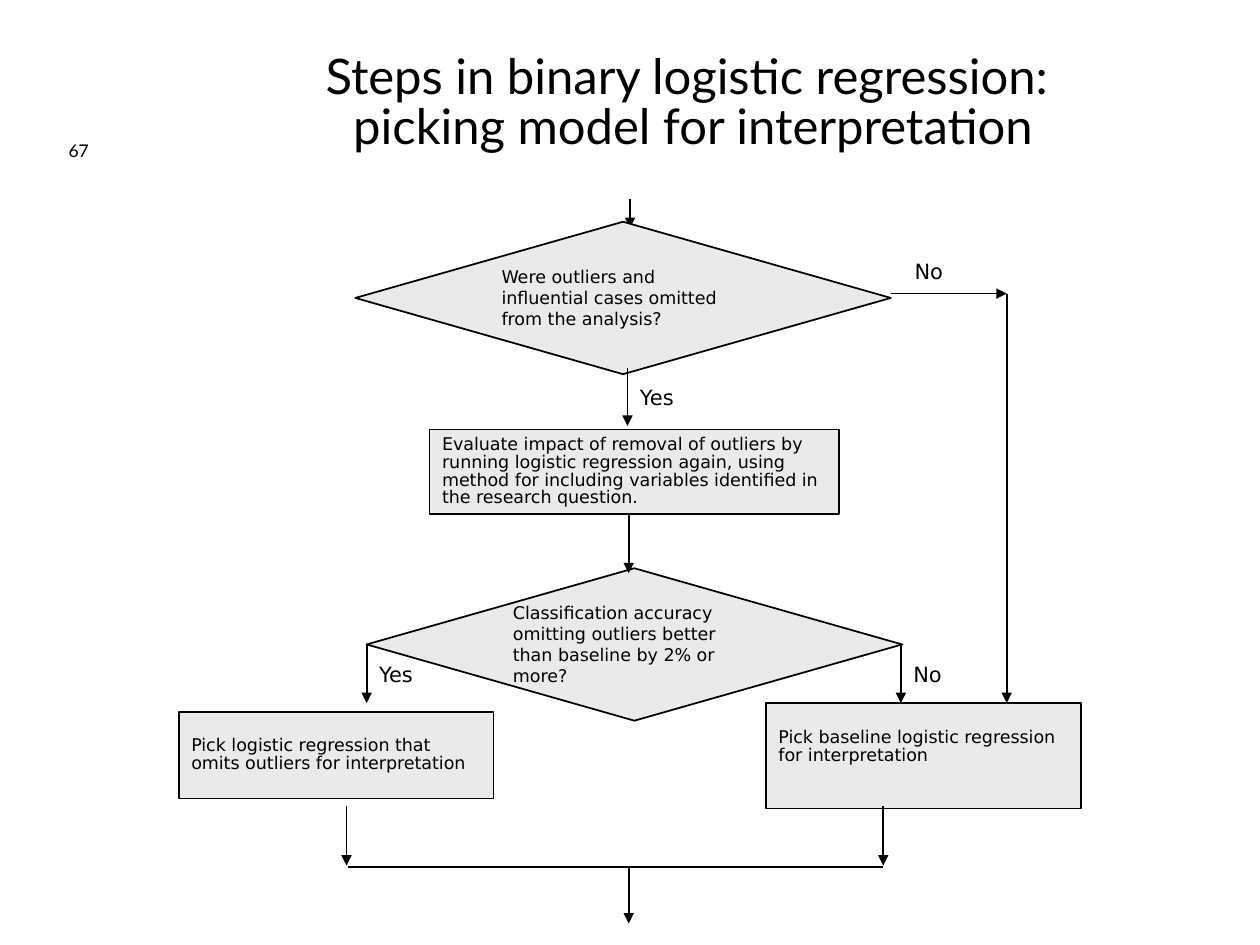
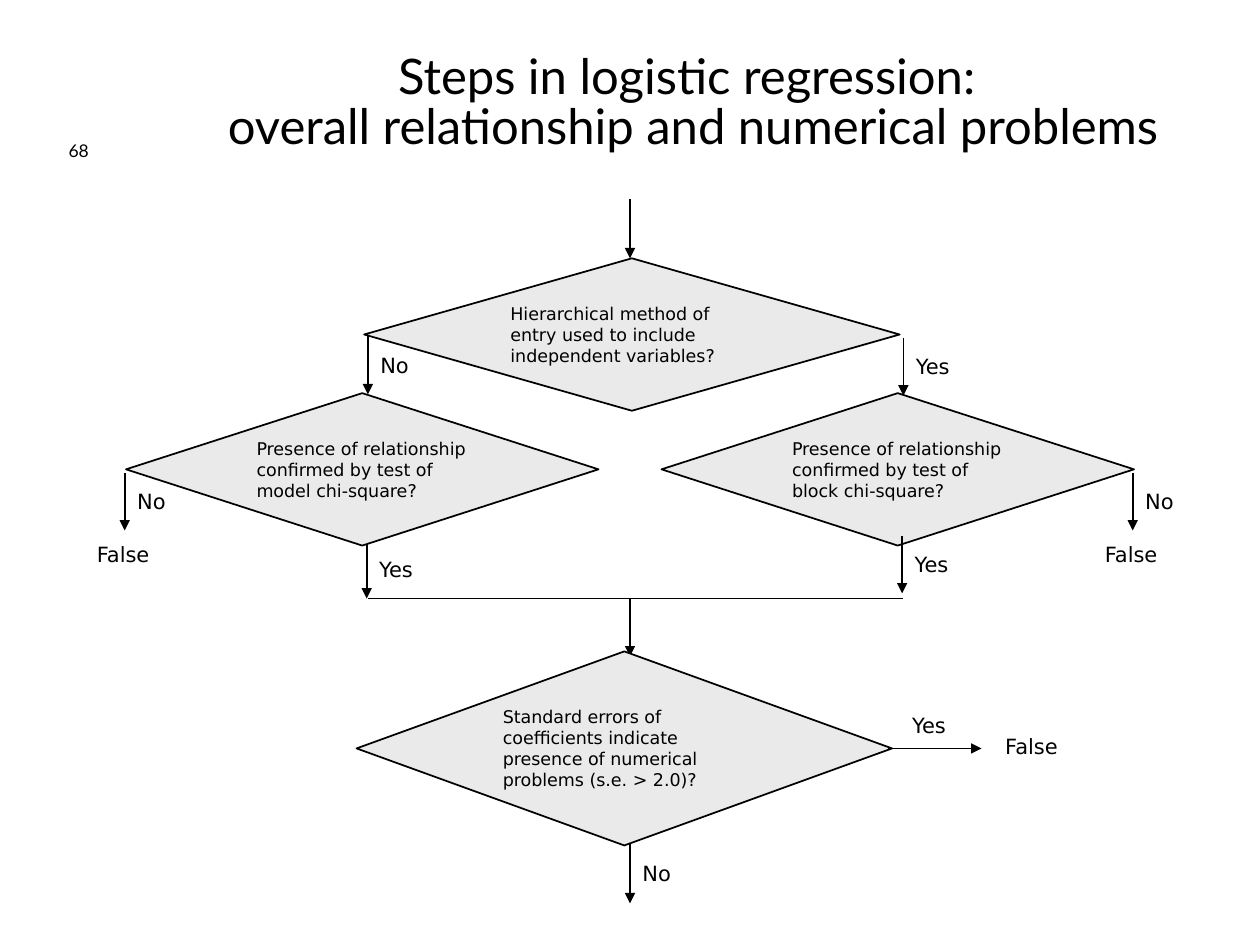
from collections import namedtuple
from lxml.etree import SubElement
from pptx import Presentation
from pptx.dml.color import RGBColor
from pptx.enum.shapes import MSO_CONNECTOR, MSO_SHAPE
from pptx.enum.text import MSO_ANCHOR, MSO_AUTO_SIZE, PP_ALIGN
from pptx.oxml.ns import qn
from pptx.util import Inches, Pt

Theme = namedtuple("Theme", "ink fill head body title step label page thick thin tight")
theme = Theme(
    ink=RGBColor.from_string("000000"), fill=RGBColor.from_string("EAEAEA"),
    head="Lato", body="DejaVu Sans",
    title=Pt(28), step=Pt(10), label=Pt(12), page=Pt(10),
    thick=Pt(1), thin=Pt(0.75), tight=0.85,
)

deck = Presentation()
deck.slide_width, deck.slide_height = Inches(10), Inches(7.5)
col = deck.slide_width / 100
row = deck.slide_height / 75


def write(shape, text, size, font, anchor, align=PP_ALIGN.LEFT, space=1):
    frame = shape.text_frame
    frame.text = text
    frame.word_wrap = True
    frame.auto_size = MSO_AUTO_SIZE.NONE
    frame.vertical_anchor = anchor
    frame.margin_left = frame.margin_right = round(col)
    frame.margin_top = frame.margin_bottom = round(row / 2)
    for para in frame.paragraphs:
        para.alignment = align
        para.line_spacing = space
        for run in para.runs:
            run.font.size = size
            run.font.name = font
            run.font.color.rgb = theme.ink


def place(x, y, w, h):
    return round(x * col), round(y * row), round(w * col), round(h * row)


# kind, left, top, width, height, text
picks = [
    ("test", 29.1, 45.1, 42.5, 12.1,
     "Classification accuracy omitting outliers better than baseline by 2% or more?"),
    ("arrow", 50, 15.8, 0, 2.3, ""),
    ("high", 60.8, 55.8, 25, 8.4,
     "Pick baseline logistic regression\nfor interpretation"),
    ("arrow", 79.9, 23.3, 0, 32.5, ""),
    ("test", 28.2, 17.6, 42.5, 12.1,
     "Were outliers and influential cases omitted from the analysis?"),
    ("box", 34.1, 34.1, 32.5, 6.7,
     "Evaluate impact of removal of outliers by running logistic regression again, "
     "using method for including variables identified in the research question."),
    ("arrow", 49.9, 40.8, 0, 4.7, ""),
    ("arrow", 49.8, 29.2, 0, 4.6, "Yes"),
    ("box", 14.2, 56.5, 25, 6.9,
     "Pick logistic regression that omits outliers for interpretation"),
    ("arrow", 29.1, 51.2, 0, 4.6, "Yes"),
    ("arrow", 70.7, 23.3, 9.2, 0, "No"),
    ("arrow", 71.5, 51.2, 0, 4.6, "No"),
    ("arrow", 27.5, 64, 0, 4.7, ""),
    ("arrow", 70.1, 64, 0, 4.7, ""),
    ("join", 27.6, 68.8, 42.5, 0, ""),
    ("arrow", 49.9, 68.7, 0, 4.6, ""),
]
checks = [
    ("arrow", 29.1, 42.9, 0, 4.6, "Yes"),
    ("test", 52.5, 31.2, 37.5, 12.1,
     "Presence of relationship confirmed by test of block chi-square?"),
    ("arrow", 50, 47.5, 0, 4.6, ""),
    ("label", 86.7, 42.5, 7, 3, "False"),
    ("arrow", 50, 67, 0, 4.7, "No"),
    ("test", 28.3, 51.7, 42.5, 15.4,
     "Standard errors of coefficients indicate presence of numerical problems (s.e. > 2.0)?"),
    ("arrow", 70.5, 59.4, 7.4, 0, "Yes"),
    ("label", 78.8, 57.7, 7, 3, "False"),
    ("arrow", 50, 15.8, 0, 4.7, ""),
    ("test", 28.9, 20.5, 42.5, 12.1,
     "Hierarchical method of entry used to include independent variables?"),
    ("arrow", 71.7, 26.8, 0, 4.6, "Yes"),
    ("arrow", 29.2, 26.7, 0, 4.6, "No"),
    ("test", 10, 31.2, 37.5, 12.1,
     "Presence of relationship confirmed by test of model chi-square?"),
    ("arrow", 9.9, 37.5, 0, 4.6, "No"),
    ("label", 6.7, 42.5, 7, 3, "False"),
    ("arrow", 89.9, 37.5, 0, 4.6, "No"),
    ("arrow", 71.6, 42.5, 0, 4.6, "Yes"),
    ("thin", 29.2, 47.5, 42.5, 0, ""),
]
pages = [
    ("67", "Steps in binary logistic regression: \vpicking model for interpretation", picks),
    ("68", "Steps in logistic regression: \voverall relationship and numerical problems", checks),
]

for page, title, steps in pages:
    slide = deck.slides.add_slide(deck.slide_layouts[5])
    head = slide.shapes.title
    head.left, head.top, head.width, head.height = place(12.5, 3.3, 85, 10)
    write(head, title, theme.title, theme.head, MSO_ANCHOR.MIDDLE,
          PP_ALIGN.CENTER, theme.tight)

    for kind, x, y, w, h, text in steps:
        if kind in ("arrow", "join", "thin"):
            left, top, wide, high = place(x, y, w, h)
            line = slide.shapes.add_connector(
                MSO_CONNECTOR.STRAIGHT, left, top, left + wide, top + high)
            line.line.color.rgb = theme.ink
            line.line.width = theme.thin if kind == "thin" else theme.thick
            props = line._element.spPr
            if kind == "arrow":
                SubElement(props.find(qn("a:ln")), qn("a:tailEnd"), type="triangle")
            SubElement(props, qn("a:effectLst"))
            if not text:
                continue
            x, y = (x + 0.9, y - 3.3) if w else (x, y + 0.8)
            w, h, kind = 5.9, 3, "label"
        if kind == "label":
            note = slide.shapes.add_textbox(*place(x, y, w, h))
            write(note, text, theme.label, theme.body, MSO_ANCHOR.TOP)
            continue
        test = kind == "test"
        form = MSO_SHAPE.FLOWCHART_DECISION if test else MSO_SHAPE.RECTANGLE
        step = slide.shapes.add_shape(form, *place(x, y, w, h))
        step.shadow.inherit = False
        step.fill.solid()
        step.fill.fore_color.rgb = theme.fill
        step.line.color.rgb = theme.ink
        step.line.width = theme.thick if test else theme.thin
        write(step, text, theme.step, theme.body, MSO_ANCHOR.MIDDLE,
              space=1 if test else theme.tight)
        if kind == "high":
            step.text_frame.margin_bottom = round(1.9 * row)

    mark = slide.shapes.add_textbox(*place(0, 3.3, 12.5, 10))
    write(mark, page, theme.page, theme.head, MSO_ANCHOR.BOTTOM, PP_ALIGN.CENTER)

deck.save("out.pptx")
